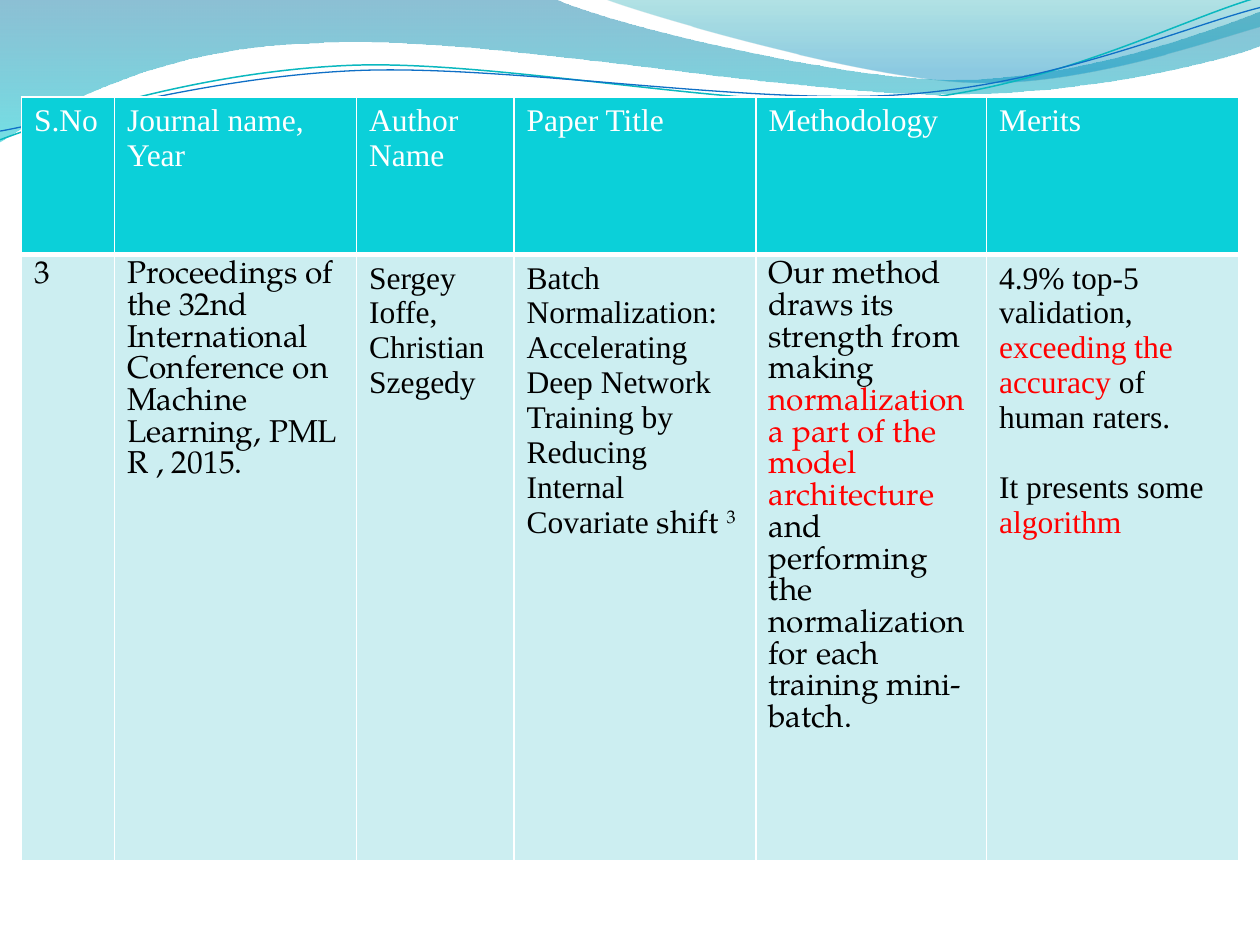
from dataclasses import dataclass

from lxml import etree
from pptx import Presentation
from pptx.dml.color import RGBColor
from pptx.oxml.ns import qn
from pptx.util import Pt

BLANK = 6
NBSP = chr(160)


@dataclass(frozen=True)
class Theme:
    serif: str = "Times New Roman"
    book: str = "TeX Gyre Pagella"
    size: int = 18
    gap: int = 20
    white: str = "FFFFFF"
    black: str = "000000"
    red: str = "FF0000"
    head: str = "0BD0D9"
    body: str = "CCEEF1"
    teal: str = "0AB8BF"
    blue: str = "0F6FC6"
    # Gradient stops: position, colour, opacity in percent
    wide: tuple = ((0, "0074A1", 45), (1, "00C6CF", 55))
    small: tuple = ((0, "00A1A9", 30), (0.8, "008BBF", 45))


T = Theme()

# Wave outlines in points: a pair is a corner, six numbers are a Bezier curve
WIDE = [(0, 0), (316.8, -0.7),
        (342.7, 12.2, 478.1, 45.4, 545.8, 45.4),
        (614.2, 45.4, 689.8, 18.7, 720, 6.5), (720.7, 25.9),
        (707.8, 31.7, 626.4, 54.7, 537.1, 54),
        (447.8, 54, 275, 20.2, 185, 24.5),
        (92.9, 25.9, 33.1, 59.8, -0.7, 81.4), (0, 0)]
SMALL = [(344.9, -0.7),
         (366.5, 7.9, 491, 44.6, 553.7, 46.8),
         (616.3, 49.7, 691.9, 23, 720, 15.1), (720, 0), (344.9, -0.7)]
UPPER = [(0, 79.9),
         (34.6, 67, 113.8, 41, 199.4, 37.4),
         (284.4, 33.8, 427, 64.1, 513.4, 57.6),
         (599.8, 51.1, 675.4, 10.8, 718.6, -1.4)]
LOWER = [(0, 74.9),
         (33.8, 69.1, 118.1, 43.9, 203.8, 40.3),
         (290.2, 36.7, 429.8, 60.5, 516.2, 54),
         (601.9, 48.2, 677.5, 15.1, 720, 4.3)]

# Table content: a cell is a list of paragraphs, a paragraph a list of runs
COLS = [53.25, 138.25, 90, 138.25, 131.75, 144]
ROWS = [90, 346.3]
HEADS = ["S.No", "Journal name, Year", "Author Name", "Paper Title",
         "Methodology", "Merits"]
# Border widths by side
HEAD_EDGE = {"L": 1, "R": 1, "T": 1, "B": 3}
BODY_EDGE = {"L": 1, "R": 1, "T": 1, "B": 1}
BOOK = {"name": T.book}
RED = {"color": T.red}
CELLS = [
    [[("3", BOOK)]],
    [[("Proceedings of the 32nd International Conference on Machine "
       f"Learning,{NBSP}PMLR ,{NBSP}2015.", BOOK)]],
    [[("Sergey Ioffe, Christian Szegedy", {})]],
    [[("Batch Normalization: Accelerating Deep Network Training by", {})],
     [("Reducing Internal Covariate ", {}), ("shift ", BOOK),
      ("3", {**BOOK, "base": 30000})]],
    [[("Our method draws its strength from making ", BOOK),
      ("normalization a part of the model architecture ", {**BOOK, **RED}),
      ("and performing the normalization for each training mini-batch.",
       BOOK)]],
    [[("4.9% top-5 validation, ", {}), ("exceeding the accuracy", RED),
      (" of human raters.", {})],
     [("It presents some ", {}), ("algorithm", RED)]],
]


def draw(slide, parts, close):
    """Build an outline, then join each three curve points into a Bezier."""
    pts = [(Pt(p[i]), Pt(p[i + 1])) for p in parts
           for i in range(0, len(p), 2)]
    pen = slide.shapes.build_freeform(*pts[0])
    pen.add_line_segments(pts[1:], close=close)
    shape = pen.convert_to_shape()
    shape.shadow.inherit = False
    legs = iter(list(shape.element.iter(qn("a:lnTo"))))
    for part in parts[1:]:
        leg = next(legs)
        if len(part) == 2:
            continue
        leg.tag = qn("a:cubicBezTo")
        for _ in range(2):
            extra = next(legs)
            leg.append(extra[0])
            extra.getparent().remove(extra)
    return shape


def add_wave(slide, parts, stops):
    shape = draw(slide, parts, True)
    shape.line.fill.background()
    shape.fill.gradient()
    shape.fill.gradient_angle = 270
    for stop, (pos, color, _) in zip(shape.fill.gradient_stops, stops):
        stop.position = pos
        stop.color.rgb = RGBColor.from_string(color)
    # Opacity of each stop
    for node, (_, _, alpha) in zip(shape.element.iter(qn("a:srgbClr")), stops):
        etree.SubElement(node, qn("a:alpha")).set("val", str(alpha * 1000))


def add_line(slide, parts, color, width):
    shape = draw(slide, parts, False)
    shape.fill.background()
    shape.line.color.rgb = RGBColor.from_string(color)
    shape.line.width = Pt(width)


def add_run(par, text, look):
    run = par.add_run()
    run.text = text
    font = {"name": look.get("name", T.serif), "size": Pt(T.size),
            "bold": False}
    for key, val in font.items():
        setattr(run.font, key, val)
    run.font.color.rgb = RGBColor.from_string(look.get("color", T.black))
    if "base" in look:
        run.font._element.set("baseline", str(look["base"]))


def edge_cell(cell, edges):
    props = cell._tc.get_or_add_tcPr()
    for i, (side, width) in enumerate(edges.items()):
        line = etree.Element(qn(f"a:ln{side}"), w=str(Pt(width)))
        fill = etree.SubElement(line, qn("a:solidFill"))
        etree.SubElement(fill, qn("a:srgbClr"), val=T.white)
        props.insert(i, line)


def fill_cell(cell, pars, color, edges, gap=0):
    cell.fill.solid()
    cell.fill.fore_color.rgb = RGBColor.from_string(color)
    edge_cell(cell, edges)
    frame = cell.text_frame
    for i, runs in enumerate(pars):
        par = frame.add_paragraph() if i else frame.paragraphs[0]
        if i and gap:
            par.space_before = Pt(gap)
        for text, look in runs:
            add_run(par, text, look)


def add_grid(slide):
    grid = slide.shapes.add_table(
        len(ROWS), len(COLS), Pt(12.25), Pt(55.5),
        Pt(sum(COLS)), Pt(sum(ROWS))).table
    for col, width in zip(grid.columns, COLS):
        col.width = Pt(width)
    for row, height in zip(grid.rows, ROWS):
        row.height = Pt(height)
    for i, (head, pars) in enumerate(zip(HEADS, CELLS)):
        title = [[(head, {"color": T.white})]]
        fill_cell(grid.cell(0, i), title, T.head, HEAD_EDGE)
        # Only the merits are set apart by a free line
        gap = T.gap if head == "Merits" else 0
        fill_cell(grid.cell(1, i), pars, T.body, BODY_EDGE, gap)


def main():
    deck = Presentation()
    deck.slide_width, deck.slide_height = Pt(720), Pt(540)
    slide = deck.slides.add_slide(deck.slide_layouts[BLANK])
    # Waves along the top
    add_wave(slide, WIDE, T.wide)
    add_wave(slide, SMALL, T.small)
    add_line(slide, UPPER, T.teal, 0.85)
    add_line(slide, LOWER, T.blue, 0.75)
    # Survey table
    add_grid(slide)
    deck.save("out.pptx")


if __name__ == "__main__":
    main()
